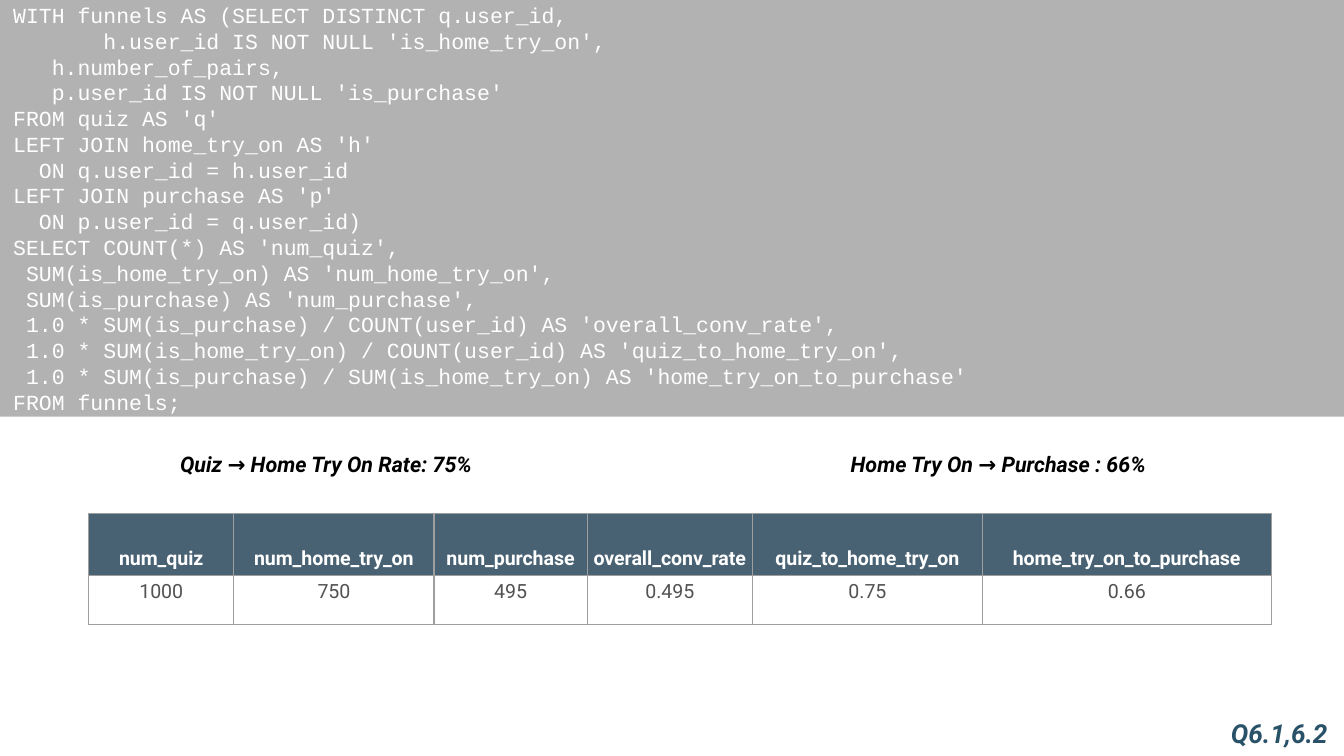
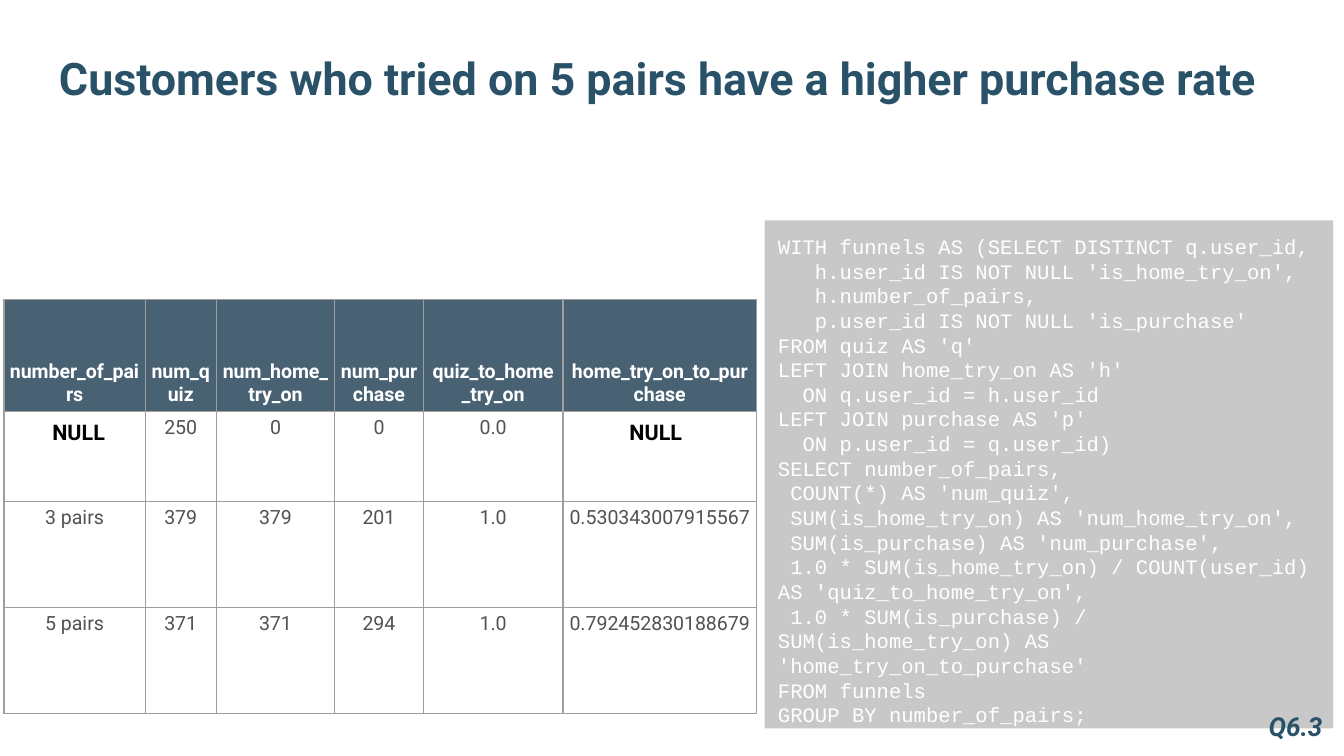
import pptx
import pptx.util
import pptx.dml.color
import pptx.enum.shapes
import pptx.enum.text
import pptx.oxml.ns
import lxml.etree

Inches, Pt = pptx.util.Inches, pptx.util.Pt
ALIGN = pptx.enum.text.PP_ALIGN
ANCHOR = pptx.enum.text.MSO_ANCHOR
qn = pptx.oxml.ns.qn

COLORS = {"title": "295269", "head": "204056", "body": "525252",
          "grid": "9E9E9E", "dark": "B2B2B2", "pale": "C8C8C8",
          "white": "FFFFFF", "black": "000000"}
SANS, MONO = "Roboto", "Courier New"


def color(name):
    return pptx.dml.color.RGBColor.from_string(COLORS[name])


def style(para, size, tone, face=SANS, bold=False, italic=False):
    font = para.font
    font.name, font.size = face, Pt(size)
    font.bold, font.italic = bold, italic
    font.color.rgb = color(tone)


def frame(shape, anchor, pad):
    """Set wrapping, anchor and the top and bottom insets."""
    text = shape.text_frame
    text.word_wrap = True
    text.vertical_anchor = anchor
    text.margin_left = text.margin_right = Inches(0.1)
    text.margin_top = text.margin_bottom = Inches(pad)
    return text


def label(slide, words, box, size, tone="title", italic=True,
          anchor=ANCHOR.BOTTOM, pad=0.1):
    shape = slide.shapes.add_textbox(*map(Inches, box))
    text = frame(shape, anchor, pad)
    para = text.paragraphs[0]
    para.text = words
    style(para, size, tone, bold=True, italic=italic)
    return text


def rates(slide, words):
    """Two rates on one line, split by a tab stop."""
    text = label(slide, words, (1.15, 3.23, 7.83, 0.45), 11.5, "black",
                 anchor=ANCHOR.TOP)
    text.margin_left = Inches(0.19)
    para = text.paragraphs[0]
    para.line_spacing = 1.15
    props = para._p.get_or_add_pPr()
    stops = lxml.etree.Element(qn("a:tabLst"))
    lxml.etree.SubElement(stops, qn("a:tab"), pos=str(Inches(4.99)), algn="l")
    props.insert(1, stops)  # after line spacing, before default run style


def code(slide, lines, box, size, fill, anchor, pad):
    kind = pptx.enum.shapes.MSO_SHAPE.RECTANGLE
    shape = slide.shapes.add_shape(kind, *map(Inches, box))
    shape.shadow.inherit = False
    shape.fill.solid()
    shape.fill.fore_color.rgb = color(fill)
    shape.line.fill.background()
    text = frame(shape, anchor, pad)
    for i, line in enumerate(lines):
        para = text.add_paragraph() if i else text.paragraphs[0]
        para.text = line
        para.alignment = ALIGN.LEFT
        style(para, size, "white", MONO)


def border(cell):
    props = cell._tc.get_or_add_tcPr()
    for side in ("lnL", "lnR", "lnT", "lnB"):
        line = lxml.etree.SubElement(props, qn("a:" + side), w=str(Pt(0.75)))
        fill = lxml.etree.SubElement(line, qn("a:solidFill"))
        lxml.etree.SubElement(fill, qn("a:srgbClr"), val=COLORS["grid"])


def paint(cell, head):
    if not head:
        cell.fill.background()
        return
    cell.fill.solid()
    cell.fill.fore_color.rgb = color("head")
    tone = cell._tc.tcPr.find(qn("a:solidFill")).find(qn("a:srgbClr"))
    lxml.etree.SubElement(tone, qn("a:alpha"), val="82000")


def inset(cell, null, first):
    """Pad a cell; a NULL sits lower and nearer the middle of the table."""
    cell.margin_left = Inches(0.1 if null and first else 0.04)
    cell.margin_right = Inches(0.1 if null and not first else 0.04)
    cell.margin_top = Inches(0.07 if null else 0.04)
    cell.margin_bottom = Inches(0.04)


def table(slide, left, top, widths, heights, rows):
    box = (left, top, sum(widths), sum(heights))
    shape = slide.shapes.add_table(len(rows), len(widths), *map(Inches, box))
    grid = shape.table
    grid.first_row = grid.horz_banding = False
    for col, width in zip(grid.columns, widths):
        col.width = Inches(width)
    for r, row in enumerate(rows):
        grid.rows[r].height = Inches(heights[r])
        for c, value in enumerate(row):
            cell = grid.cell(r, c)
            head, null = r == 0, value == "NULL"
            border(cell)
            paint(cell, head)
            inset(cell, null, c == 0)
            cell.vertical_anchor = ANCHOR.BOTTOM if head else ANCHOR.TOP
            para = cell.text_frame.paragraphs[0]
            para.text = value
            para.alignment = ALIGN.CENTER
            tone = "white" if head else "black" if null else "body"
            style(para, 11.5 if null else 10.5, tone, bold=head or null)


def query(indent, *tail):
    """The funnels query that both slides share, with its own ending."""
    return ["WITH funnels AS (SELECT DISTINCT q.user_id,",
            " " * indent + "h.user_id IS NOT NULL 'is_home_try_on',",
            "   h.number_of_pairs,",
            "   p.user_id IS NOT NULL 'is_purchase'",
            "FROM quiz AS 'q'",
            "LEFT JOIN home_try_on AS 'h'",
            "  ON q.user_id = h.user_id",
            "LEFT JOIN purchase AS 'p'",
            "  ON p.user_id = q.user_id)",
            *tail]


# Parts of the query and table heads used on both slides
SUMS = [" SUM(is_home_try_on) AS 'num_home_try_on',",
        " SUM(is_purchase) AS 'num_purchase',"]
SHARES = [
    " 1.0 * SUM(is_home_try_on) / COUNT(user_id) AS 'quiz_to_home_try_on',",
    " 1.0 * SUM(is_purchase) / SUM(is_home_try_on) AS 'home_try_on_to_purchase'"]
COUNTS = ["num_quiz", "num_home_try_on", "num_purchase"]
STEPS = ["quiz_to_home_try_on", "home_try_on_to_purchase"]


def funnel(slide):
    table(slide, 0.66, 3.82, [1.08, 1.49, 1.14, 1.23, 1.71, 2.15],
          [0.46, 0.37],
          [COUNTS + ["overall_conv_rate"] + STEPS,
           ["1000", "750", "495", "0.495", "0.75", "0.66"]])
    lines = query(
        7, "SELECT COUNT(*) AS 'num_quiz',", *SUMS,
        " 1.0 * SUM(is_purchase) / COUNT(user_id) AS 'overall_conv_rate',",
        *SHARES, "FROM funnels;")
    code(slide, lines, (0, 0, 10, 3.1), 11.5, "dark", ANCHOR.MIDDLE, 0.05)
    text = label(slide, "Q6.1,6.2", (9.06, 5.29, 0.94, 0.34), 14,
                 anchor=ANCHOR.TOP, pad=0.05)
    text.word_wrap = False
    rates(slide, "Quiz → Home Try On Rate: 75%\tHome Try On → Purchase : 66%")


def pairs(slide):
    label(slide, "Customers who tried on 5 pairs have a higher purchase rate",
          (0.34, 0.32, 9.32, 0.56), 24, italic=False)
    lines = query(3, "SELECT number_of_pairs,", " COUNT(*) AS 'num_quiz',",
                  *SUMS, *SHARES, "FROM funnels", "GROUP BY number_of_pairs;")
    code(slide, lines, (5.69, 1.64, 4.23, 3.78), 11, "pale", ANCHOR.TOP, 0.1)
    table(slide, 0.03, 2.23, [1.05, 0.53, 0.88, 0.66, 1.04, 1.44],
          [0.83, 0.67, 0.79, 0.79],
          [["number_of_pairs"] + COUNTS + STEPS,
           ["NULL", "250", "0", "0", "0.0", "NULL"],
           ["3 pairs", "379", "379", "201", "1.0", "0.530343007915567"],
           ["5 pairs", "371", "371", "294", "1.0", "0.792452830188679"]])
    label(slide, "Q6.3", (9.34, 5.05, 0.72, 0.57), 14)


def main():
    deck = pptx.Presentation()
    deck.slide_width = Inches(10)
    deck.slide_height = Inches(10) * 9 // 16  # widescreen
    for build in (funnel, pairs):
        build(deck.slides.add_slide(deck.slide_layouts[6]))
    deck.save("out.pptx")


if __name__ == "__main__":
    main()
